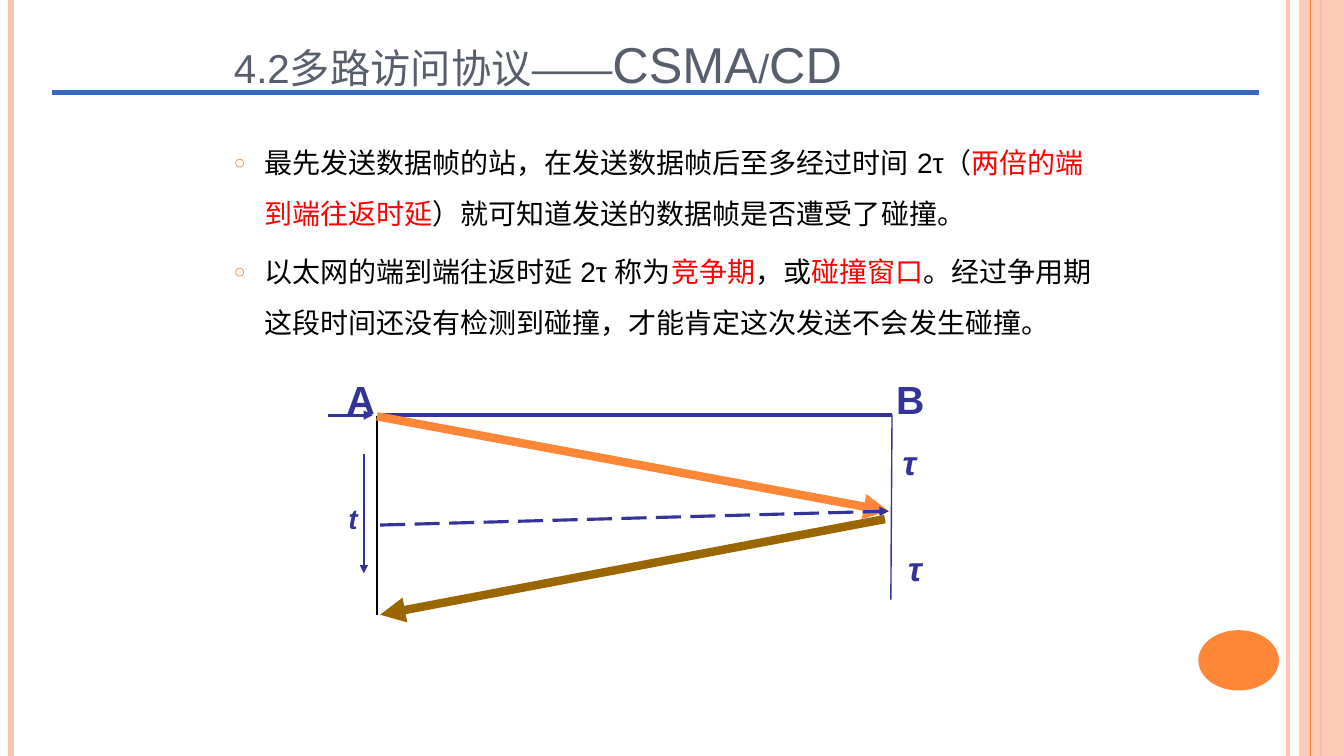
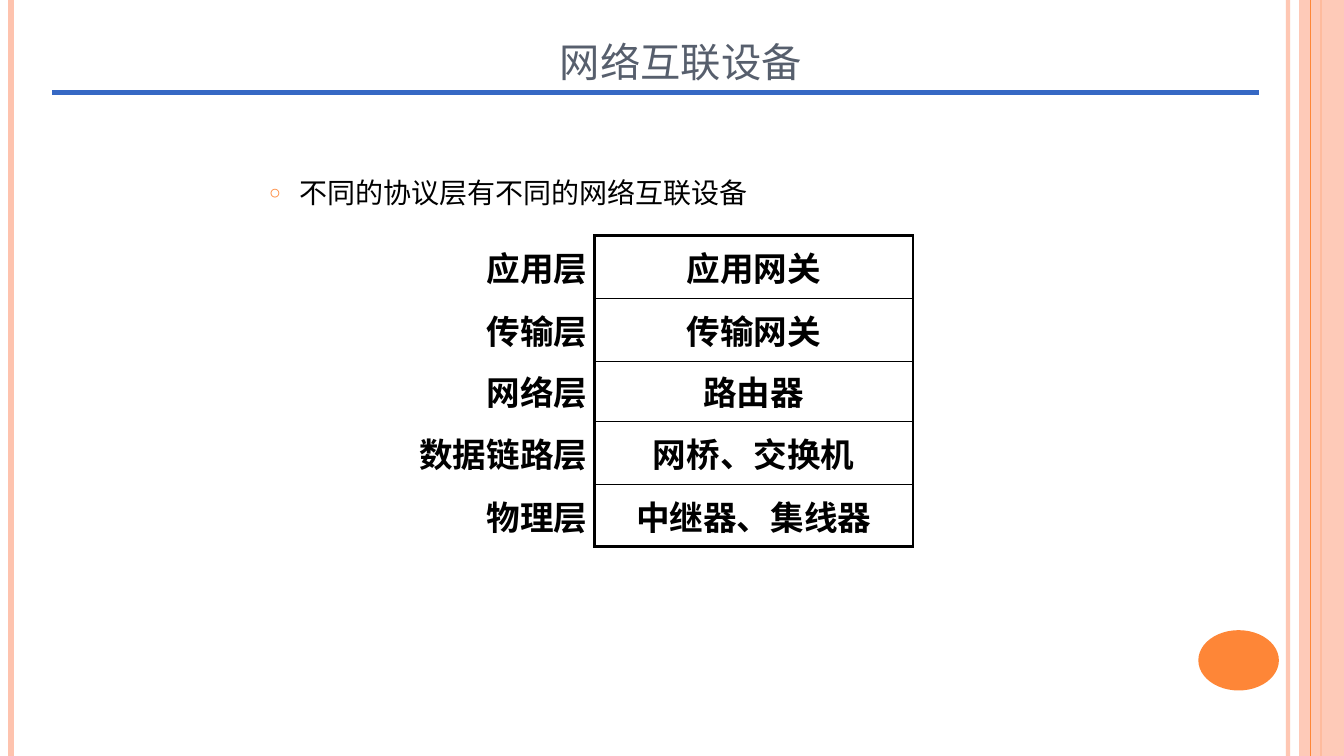
from lxml.etree import SubElement
from pptx import Presentation
from pptx.dml.color import RGBColor
from pptx.enum.dml import MSO_LINE
from pptx.enum.shapes import MSO_CONNECTOR, MSO_SHAPE
from pptx.enum.text import MSO_ANCHOR, MSO_AUTO_SIZE, PP_ALIGN
from pptx.oxml.ns import qn
from pptx.util import Cm, Pt

WIDTH, HEIGHT = 33.87, 19.05
BLACK, RED, NAVY, BROWN = "000000", "FF0000", "333399", "996600"
ORANGE, PEACH, SLATE, BLUE = "FE8637", "FEC3AE", "575F6D", "3668C4"
SANS, SERIF, CJK = "Arial", "TeX Gyre Schola", "Noto Sans CJK SC"

LAYERS = [
    ("应用层", "应用网关"),
    ("传输层", "传输网关"),
    ("网络层", "路由器"),
    ("数据链路层", "网桥、交换机"),
    ("物理层", "中继器、集线器"),
]


def rgb(code):
    """Turn a hex string into a colour."""
    return RGBColor.from_string(code)


def add_xml(parent, tag, **attributes):
    """Append a DrawingML element and return it."""
    return SubElement(parent, qn(f"a:{tag}"), attributes)


def set_alpha(owner, percent):
    """Make the solid colour inside an element partly transparent."""
    colour = next(owner.iter(qn("a:srgbClr")))
    add_xml(colour, "alpha", val=str(percent * 1000))


def style_paragraph(paragraph, face, size, colour, bold=False, italic=False):
    """Set the paragraph's font for Latin and East Asian text."""
    font = paragraph.font
    font.name, font.size = face, Pt(size)
    font.bold, font.italic = bold, italic
    font.color.rgb = rgb(colour)
    defaults = paragraph._p.pPr.find(qn("a:defRPr"))
    add_xml(defaults, "ea", typeface=face)
    return defaults


def place(shape, left, top, width, height):
    """Move and size a shape."""
    shape.left, shape.top = Cm(left), Cm(top)
    shape.width, shape.height = Cm(width), Cm(height)


def add_line(slide, start, end, colour, weight, arrow=False, dash=None):
    """Draw a straight line, with an arrowhead at its end if asked."""
    points = [Cm(value) for value in (*start, *end)]
    connector = slide.shapes.add_connector(MSO_CONNECTOR.STRAIGHT, *points)
    line = connector.line
    line.color.rgb, line.width = rgb(colour), Pt(weight)
    if dash:
        line.dash_style = dash
    if arrow:
        add_xml(line._get_or_add_ln(), "tailEnd", type="triangle")
    add_xml(connector.element.spPr, "effectLst")
    return connector


def add_solid(slide, kind, box, colour):
    """Draw a filled shape without outline."""
    shape = slide.shapes.add_shape(kind, *map(Cm, box))
    shape.shadow.inherit = False
    shape.fill.solid()
    shape.fill.fore_color.rgb = rgb(colour)
    shape.line.fill.background()
    return shape


def add_frame(slide, layout):
    """Put the side bands, disc and title rule on the layout."""
    def vertical(x, colour, weight):
        return add_line(slide, (x, 0), (x, HEIGHT), colour, weight)

    inner = vertical(32.46, PEACH, 3)
    set_alpha(inner.element, 93)
    outer = vertical(0.28, PEACH, 4.5)
    edge = vertical(33.3, ORANGE, 1.5)
    band = add_solid(slide, MSO_SHAPE.RECTANGLE,
                     (32.74, 0, WIDTH - 32.74, HEIGHT), PEACH)
    set_alpha(band.element, 87)
    stripe = vertical(33.02, ORANGE, 0.75)
    disc = add_solid(slide, MSO_SHAPE.OVAL, (30.2, 15.88, 2.03, 1.52), ORANGE)
    rule = add_line(slide, (1.32, 2.34), (31.72, 2.34), BLUE, 3.5)
    for part in (inner, outer, edge, band, stripe, disc, rule):
        layout.shapes.element.append(part.element)


def set_title(slide, text, box, face, align):
    """Fill the title placeholder in small capitals."""
    title = slide.shapes.title
    place(title, *box)
    frame = title.text_frame
    frame.text = text
    frame.auto_size = MSO_AUTO_SIZE.NONE
    frame.vertical_anchor = MSO_ANCHOR.BOTTOM
    paragraph = frame.paragraphs[0]
    paragraph.alignment = align
    style_paragraph(paragraph, face, 36, SLATE).set("cap", "small")


def set_bullets(slide, items, box, face, spacing):
    """Fill the body placeholder; each item is a list of (text, colour)."""
    body = slide.placeholders[1]
    place(body, *box)
    frame = body.text_frame
    frame.auto_size = MSO_AUTO_SIZE.NONE
    for index, pieces in enumerate(items):
        paragraph = frame.add_paragraph() if index else frame.paragraphs[0]
        paragraph.line_spacing = spacing
        paragraph.space_before = Pt(6 if index else 0)
        properties = paragraph._p.get_or_add_pPr()
        properties.set("marL", str(Cm(0.76)))
        properties.set("indent", str(Cm(-0.76)))
        add_xml(add_xml(properties, "buClr"), "srgbClr", val=ORANGE)
        add_xml(properties, "buSzPct", val="70000")
        add_xml(properties, "buChar", char="○")
        style_paragraph(paragraph, face, 20, BLACK)
        for text, colour in pieces:
            run = paragraph.add_run()
            run.text = text
            if colour != BLACK:
                run.font.color.rgb = rgb(colour)


def add_label(slide, text, box, size, italic=False):
    """Add a bold diagram label centred on its box."""
    frame = slide.shapes.add_textbox(*map(Cm, box)).text_frame
    frame.word_wrap = False
    frame.text = text
    paragraph = frame.paragraphs[0]
    paragraph.alignment = PP_ALIGN.CENTER
    paragraph.line_spacing = 1.2
    style_paragraph(paragraph, SANS, size, NAVY, True, italic)


def set_border(cell, side, weight):
    """Draw one black border of a table cell."""
    line = add_xml(cell._tc.get_or_add_tcPr(), f"ln{side}", w=str(Pt(weight)))
    add_xml(add_xml(line, "solidFill"), "srgbClr", val=BLACK)


def fill_cell(cell, text, align, borders):
    """Write a bold cell with the given (side, weight) borders."""
    cell.text = text
    cell.vertical_anchor = MSO_ANCHOR.MIDDLE
    cell.margin_left = cell.margin_right = Cm(0.18)
    cell.margin_top = cell.margin_bottom = Cm(0.1)
    for side, weight in borders:
        set_border(cell, side, weight)
    cell.fill.background()
    paragraph = cell.text_frame.paragraphs[0]
    paragraph.alignment = align
    style_paragraph(paragraph, CJK, 24, BLACK, True)


def add_layer_table(slide):
    """Pair each protocol layer with its boxed devices."""
    heights = [1.58, 1.58, 1.52, 1.58, 1.58]
    widths = [6.45, 8.03]
    box = (8.53, 5.94, sum(widths), sum(heights))
    table = slide.shapes.add_table(len(LAYERS), 2, *map(Cm, box)).table
    table.first_row = table.horz_banding = False
    for column, width in zip(table.columns, widths):
        column.width = Cm(width)
    last = len(LAYERS) - 1
    for index, (layer, device) in enumerate(LAYERS):
        table.rows[index].height = Cm(heights[index])
        fill_cell(table.cell(index, 0), layer, PP_ALIGN.RIGHT, [("R", 2.25)])
        top = 1 if index else 2.25
        bottom = 1 if index < last else 2.25
        fill_cell(table.cell(index, 1), device, PP_ALIGN.CENTER,
                  [("L", 2.25), ("R", 2.25), ("T", top), ("B", bottom)])


def add_timing_diagram(slide):
    """Draw the signal travelling from A to B and back."""
    origin, arrival = (9.5, 10.49), (22.4, 12.88)
    add_line(slide, (9.52, 10.46), (22.48, 10.46), NAVY, 3)
    add_line(slide, origin, (9.5, 15.49), BLACK, 1)
    add_line(slide, origin, arrival, ORANGE, 6, arrow=True)
    add_line(slide, (9.17, 11.43), (9.17, 14.45), NAVY, 1, arrow=True)
    add_line(slide, (22.48, 10.44), (22.45, 15.11), NAVY, 1)
    add_line(slide, (22.3, 13.08), (9.58, 15.49), BROWN, 6, arrow=True)
    add_line(slide, (8.26, 10.46), (9.4, 10.46), NAVY, 2.25, arrow=True)
    add_line(slide, (9.58, 13.23), arrival, NAVY, 2.25, arrow=True,
             dash=MSO_LINE.LONG_DASH)
    add_label(slide, "A", (8.48, 9.09, 1.22, 1.68), 28)
    add_label(slide, "B", (22.33, 9.09, 1.22, 1.68), 28)
    add_label(slide, "t", (8.53, 12.34, 0.74, 1.27), 20, italic=True)
    for left, top in ((22.36, 10.8), (22.5, 13.49)):
        add_label(slide, "τ", (left, top, 1.12, 1.5), 24, italic=True)


def build_collision_slide(slide):
    """Explain the contention period of CSMA/CD."""
    set_title(slide, "4.2多路访问协议——CSMA/CD",
              (5.64, 0.33, 22.6, 2.16), SANS, PP_ALIGN.LEFT)
    set_bullets(slide, [
        [("最先发送数据帧的站，在发送数据帧后至多经过时间 2τ（", BLACK),
         ("两倍的端到端往返时延", RED),
         ("）就可知道发送的数据帧是否遭受了碰撞。", BLACK)],
        [("以太网的端到端往返时延 2τ 称为", BLACK),
         ("竞争期", RED),
         ("，或", BLACK),
         ("碰撞窗口", RED),
         ("。经过争用期这段时间还没有检测到碰撞，"
          "才能肯定这次发送不会发生碰撞。", BLACK)],
    ], (5.64, 3.12, 22.6, 10.21), SANS, 1.5)
    add_timing_diagram(slide)


def build_devices_slide(slide):
    """List the interconnection devices by layer."""
    set_title(slide, "网络互联设备", (3.33, 0, 27.66, 2.34),
              SERIF, PP_ALIGN.CENTER)
    set_bullets(slide, [[("不同的协议层有不同的网络互联设备", BLACK)]],
                (6.53, 3.96, 16.48, 2.16), SERIF, 1.4)
    add_layer_table(slide)


def main():
    """Build and save the presentation."""
    prs = Presentation()
    prs.slide_width, prs.slide_height = Cm(WIDTH), Cm(HEIGHT)
    layout = prs.slide_layouts[1]
    collision = prs.slides.add_slide(layout)
    add_frame(collision, layout)
    build_collision_slide(collision)
    build_devices_slide(prs.slides.add_slide(layout))
    prs.save("out.pptx")


if __name__ == "__main__":
    main()
